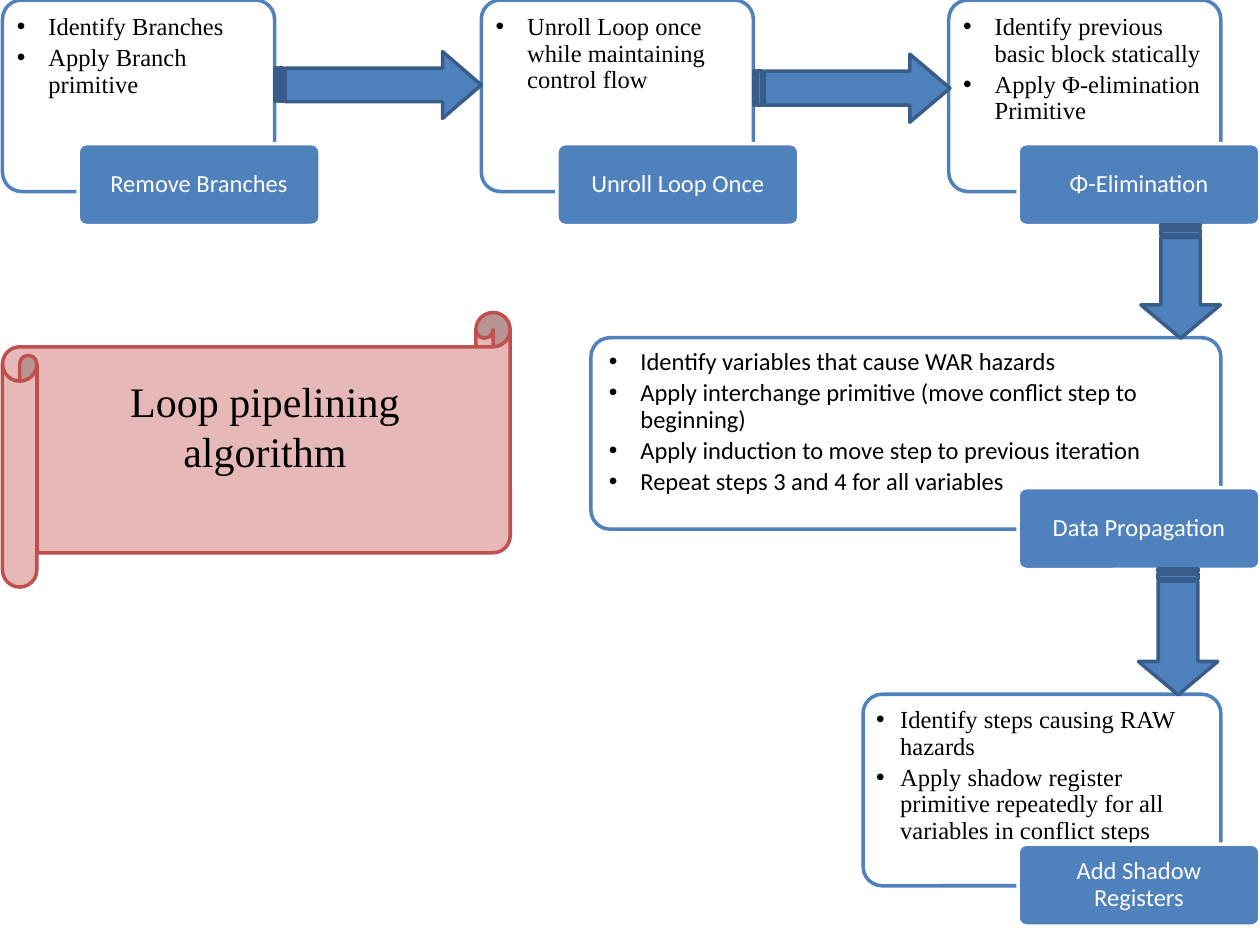
from dataclasses import dataclass

from lxml import etree
from pptx import Presentation
from pptx.dml.color import RGBColor
from pptx.enum import shapes, text
from pptx.oxml.ns import qn
from pptx.util import Inches, Pt

COLORS = {
    "white": "FFFFFF",
    "black": "000000",
    "blue": "4F81BD",
    "dark_blue": "385D8A",
    "pink": "E6B9B8",
    "red": "C0504D",
}
SERIF, SANS = "Times New Roman", "Calibri"
FRAME_HEIGHT = 1.52
LABEL_WIDTH, LABEL_HEIGHT = 1.92, 0.65


@dataclass
class Stage:
    title: str
    steps: list[str]
    left: float
    top: float
    width: float
    label_left: float
    label_top: float
    font: str = SERIF
    inset: tuple[float, float] = (0.07, 0.07)
    indent: float = 0.25


@dataclass
class FlowArrow:
    left: float
    top: float
    width: float
    height: float
    head: float
    rotation: int = 0


STAGES = [
    Stage("Remove Branches", ["Identify Branches", "Apply Branch primitive"],
          0.02, 0, 2.16, 0.62, 1.14),
    Stage("Add Shadow Registers",
          ["Identify steps causing RAW hazards",
           "Apply shadow register primitive repeatedly for all variables in conflict steps"],
          6.85, 5.51, 2.84, 8.08, 6.7, inset=(0.06, 0.06), indent=0.19),
    Stage("Data Propagation",
          ["Identify variables that cause WAR hazards",
           "Apply interchange primitive (move conflict step to beginning)",
           "Apply induction to move step to previous iteration",
           "Repeat steps 3 and 4 for all variables"],
          4.69, 2.68, 5, 8.08, 3.87, font=SANS, inset=(0.1, 0.05)),
    Stage("Unroll Loop Once", ["Unroll Loop once while maintaining control flow"],
          3.82, 0, 2.16, 4.42, 1.14),
    Stage("Φ-Elimination",
          ["Identify previous basic block statically", "Apply Φ-elimination Primitive"],
          7.53, 0, 2.16, 8.08, 1.14),
]

ARROWS = [
    FlowArrow(2.18, 0.41, 1.64, 0.53, 0.58),
    FlowArrow(5.98, 0.43, 1.56, 0.54, 0.59),
    FlowArrow(8.92, 1.92, 0.9, 0.63, 0.42, 90),
    FlowArrow(8.85, 4.7, 1, 0.63, 0.42, 90),
]


def add_outlined(slide, kind, left: float, top: float, width: float, height: float,
                 fill: str, line: str):
    shape = slide.shapes.add_shape(
        kind, Inches(left), Inches(top), Inches(width), Inches(height))
    shape.shadow.inherit = False
    shape.fill.solid()
    shape.fill.fore_color.rgb = RGBColor.from_string(COLORS[fill])
    shape.line.color.rgb = RGBColor.from_string(COLORS[line])
    shape.line.width = Pt(2)
    return shape


def set_insets(frame, left: float, top: float, right: float, bottom: float) -> None:
    frame.word_wrap = True
    frame.margin_left, frame.margin_top = Inches(left), Inches(top)
    frame.margin_right, frame.margin_bottom = Inches(right), Inches(bottom)


def style_runs(paragraph, font: str, size: float, color: str) -> None:
    for run in paragraph.runs:
        run.font.name = font
        run.font.size = Pt(size)
        run.font.color.rgb = RGBColor.from_string(COLORS[color])


def add_bullet(paragraph, indent: float) -> None:
    properties = paragraph._p.get_or_add_pPr()
    properties.set("marL", str(Inches(indent)))
    properties.set("indent", str(-Inches(indent)))
    etree.SubElement(properties, qn("a:buFont")).set("typeface", "Arial")
    etree.SubElement(properties, qn("a:buChar")).set("char", "•")


def add_steps(slide, stage: Stage) -> None:
    """Draw the stage's frame, slightly transparent, with its bulleted steps."""
    panel = add_outlined(slide, shapes.MSO_SHAPE.ROUNDED_RECTANGLE, stage.left, stage.top,
                         stage.width, FRAME_HEIGHT, "white", "blue")
    panel.adjustments[0] = 0.1
    fill_color = panel.fill._xPr.find(".//" + qn("a:srgbClr"))
    etree.SubElement(fill_color, qn("a:alpha")).set("val", "90000")
    frame = panel.text_frame
    side, top = stage.inset
    set_insets(frame, side, top, side, 0.3)
    frame.vertical_anchor = text.MSO_ANCHOR.TOP
    frame.text = "\n".join(stage.steps)
    for paragraph in frame.paragraphs:
        add_bullet(paragraph, stage.indent)
        paragraph.alignment = text.PP_ALIGN.LEFT
        paragraph.line_spacing = 0.9
        paragraph.space_after = Pt(2.6)
        style_runs(paragraph, stage.font, 14, "black")


def add_label(slide, stage: Stage) -> None:
    label = add_outlined(slide, shapes.MSO_SHAPE.ROUNDED_RECTANGLE, stage.label_left,
                         stage.label_top, LABEL_WIDTH, LABEL_HEIGHT, "blue", "white")
    label.adjustments[0] = 0.1
    frame = label.text_frame
    set_insets(frame, 0.08, 0.06, 0.08, 0.06)
    frame.vertical_anchor = text.MSO_ANCHOR.MIDDLE
    frame.text = stage.title
    title = frame.paragraphs[0]
    title.alignment = text.PP_ALIGN.CENTER
    title.line_spacing = 0.9
    style_runs(title, SANS, 14, "white")


def add_arrow(slide, arrow: FlowArrow) -> None:
    striped = add_outlined(slide, shapes.MSO_SHAPE.STRIPED_RIGHT_ARROW, arrow.left, arrow.top,
                           arrow.width, arrow.height, "blue", "dark_blue")
    striped.adjustments[0] = 0.5
    striped.adjustments[1] = arrow.head
    striped.rotation = arrow.rotation


def add_heading(slide) -> None:
    scroll = add_outlined(slide, shapes.MSO_SHAPE.HORIZONTAL_SCROLL,
                          0.02, 2.48, 4.03, 2.18, "pink", "red")
    scroll.adjustments[0] = 0.125
    frame = scroll.text_frame
    set_insets(frame, 0.1, 0.05, 0.1, 0.43)
    frame.vertical_anchor = text.MSO_ANCHOR.MIDDLE
    frame.text = "Loop pipelining algorithm"
    heading = frame.paragraphs[0]
    heading.alignment = text.PP_ALIGN.CENTER
    style_runs(heading, SERIF, 24, "black")


def main() -> None:
    deck = Presentation()
    deck.slide_width, deck.slide_height = Inches(10), Inches(7.5)
    slide = deck.slides.add_slide(deck.slide_layouts[6])
    for stage in STAGES:
        add_steps(slide, stage)
        add_label(slide, stage)
    for arrow in ARROWS:
        add_arrow(slide, arrow)
    add_heading(slide)
    deck.save("out.pptx")


if __name__ == "__main__":
    main()
